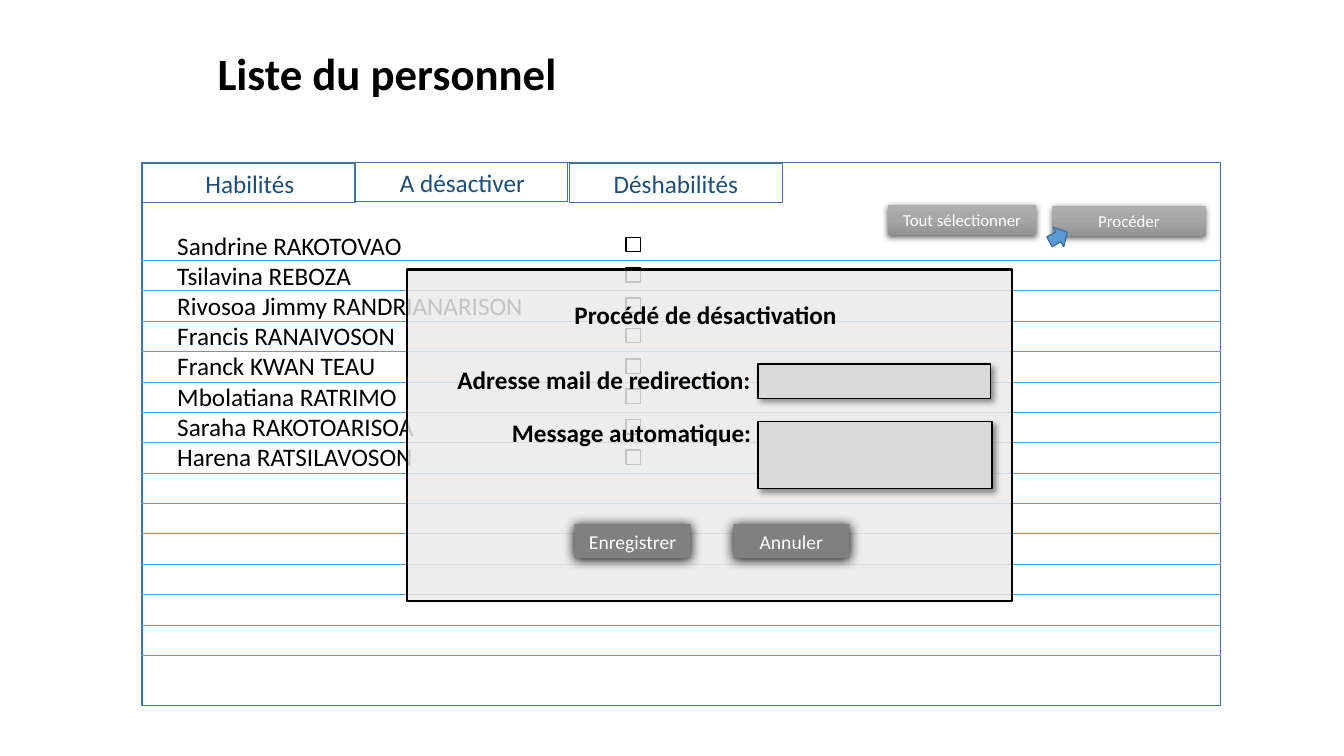
from copy import deepcopy
from dataclasses import dataclass
from typing import Optional

from lxml import etree
from pptx import Presentation
from pptx import util as u
from pptx.dml import color
from pptx.enum import shapes, text
from pptx.oxml import ns

FONT = "Calibri"
BLACK, WHITE, BLUE, EDGE, NAVY = "000000", "FFFFFF", "5B9BD5", "43739E", "1F4E79"
SILVER = ("AFAFAF", "A5A5A5", "939393")
STEP = 21.7  # height of one list row


@dataclass
class Shade:
    alpha: int
    blur: float
    dist: float
    angle: int


@dataclass
class Box:
    left: float
    top: float
    width: float
    height: float
    fill: Optional[str] = None
    line: Optional[str] = None
    weight: float = 1
    alpha: int = 100
    blend: tuple = ()
    shade: Optional[Shade] = None
    words: str = ""
    size: float = 14
    kind: shapes.MSO_SHAPE = shapes.MSO_SHAPE.RECTANGLE
    turn: float = 0


@dataclass
class Label:
    left: float
    top: float
    width: float
    height: float
    words: str
    size: float = 18
    hue: str = BLACK
    bold: bool = False
    center: bool = False


def rgb(code: str) -> color.RGBColor:
    return color.RGBColor.from_string(code)


def sub(parent, tag: str, **attrs):
    return etree.SubElement(parent, ns.qn(tag), {k: str(v) for k, v in attrs.items()})


def write(frame, words: str, size: float, hue: str, bold: bool, center: bool) -> None:
    frame.text = words
    for para in frame.paragraphs:
        para.alignment = text.PP_ALIGN.CENTER if center else text.PP_ALIGN.LEFT
        for run in para.runs:
            font = run.font
            font.name, font.size, font.bold = FONT, u.Pt(size), bold
            font.color.rgb = rgb(hue)


def blend(shape, hues: tuple) -> None:
    fill = shape.fill
    fill.gradient()
    fill.gradient_angle = 270
    stops = shape._element.spPr.find(".//" + ns.qn("a:gsLst"))
    stops.append(deepcopy(stops[0]))
    for i, stop in enumerate(fill.gradient_stops):
        stop.color.rgb = rgb(hues[i])
        stop.position = i / 2


def cast(shape, shade: Shade) -> None:
    effect = shape._element.spPr.find(ns.qn("a:effectLst"))
    outer = sub(effect, "a:outerShdw", blurRad=int(u.Pt(shade.blur)),
                dist=int(u.Pt(shade.dist)), dir=shade.angle * 60000,
                algn="ctr", rotWithShape=0)
    tint = sub(outer, "a:srgbClr", val=BLACK)
    sub(tint, "a:alpha", val=shade.alpha * 1000)


def draw(slide, box: Box) -> None:
    shape = slide.shapes.add_shape(box.kind, u.Pt(box.left), u.Pt(box.top),
                                   u.Pt(box.width), u.Pt(box.height))
    shape.rotation = box.turn
    shape.shadow.inherit = False
    if box.blend:
        blend(shape, box.blend)
    elif box.fill:
        shape.fill.solid()
        shape.fill.fore_color.rgb = rgb(box.fill)
        if box.alpha < 100:
            tint = shape._element.spPr.find(ns.qn("a:solidFill"))[0]
            sub(tint, "a:alpha", val=box.alpha * 1000)
    else:
        shape.fill.background()
    if box.line:
        shape.line.color.rgb = rgb(box.line)
        shape.line.width = u.Pt(box.weight)
    else:
        shape.line.fill.background()
    if box.shade:
        cast(shape, box.shade)
    if box.words:
        frame = shape.text_frame
        frame.word_wrap = True
        frame.vertical_anchor = text.MSO_ANCHOR.MIDDLE
        frame.margin_top = frame.margin_bottom = u.Pt(3.6)
        write(frame, box.words, box.size, WHITE, False, True)


def label(slide, item: Label) -> None:
    area = slide.shapes.add_textbox(u.Pt(item.left), u.Pt(item.top),
                                    u.Pt(item.width), u.Pt(item.height))
    area.text_frame.word_wrap = True
    write(area.text_frame, item.words, item.size, item.hue, item.bold, item.center)


def rule(slide, top: float) -> None:
    line = slide.shapes.add_connector(shapes.MSO_CONNECTOR.STRAIGHT, u.Pt(101),
                                      u.Pt(top), u.Pt(872.3), u.Pt(top))
    line.line.color.rgb = rgb(BLUE)
    line.line.width = u.Pt(0.5)
    sub(line._element.spPr, "a:effectLst")


def main() -> None:
    deck = Presentation()
    deck.slide_width, deck.slide_height = u.Pt(960), u.Pt(540)
    slide = deck.slides.add_slide(deck.slide_layouts[6])

    # Title and outer frame
    label(slide, Label(148.3, 28.8, 385, 46, "Liste du personnel", 32, bold=True))
    draw(slide, Box(101.5, 116, 770.5, 388, line=EDGE))

    # Tabs
    tabs = (("Habilités", 101.5, 116.7, 139.7), ("A désactiver", 253.5, 116, 278.6),
            ("Déshabilités", 406.8, 116.7, 431.3))
    for words, left, top, inset in tabs:
        draw(slide, Box(left, top, 152, 28, line=EDGE))
        label(slide, Label(inset, top, 134.6, 28.8, words, hue=NAVY))

    # List rows and tick boxes
    names = ("Sandrine RAKOTOVAO", "Tsilavina REBOZA", "Rivosoa Jimmy RANDRIANARISON",
             "Francis RANAIVOSON", "Franck KWAN TEAU", "Mbolatiana RATRIMO",
             "Saraha RAKOTOARISOA", "Harena RATSILAVOSON")
    for row in range(14):
        rule(slide, 186 + row * STEP)
    for row in range(len(names)):
        draw(slide, Box(447.2, 169.5 + row * STEP, 10.3, 10.3, line=BLACK))

    # Actions and pointer
    soft = Shade(63, 4.5, 1.5, 90)
    draw(slide, Box(634.3, 146.2, 106, 21.8, blend=SILVER, shade=soft,
                    words="Tout sélectionner", size=12))
    draw(slide, Box(751.7, 147, 109.5, 21.8, blend=SILVER, shade=soft,
                    words="Procéder", size=12))
    draw(slide, Box(748.8, 161.3, 14.4, 15.8, BLUE, EDGE, turn=331.3,
                    kind=shapes.MSO_SHAPE.RIGHT_ARROW))
    label(slide, Label(119.5, 160.6, 362, 182, "\n".join(names)))

    # Dialog
    draw(slide, Box(290.6, 192.5, 432, 236.5, "EAEAEA", BLACK, 1.5, alpha=84))
    label(slide, Label(373.7, 210.2, 260.6, 28.8, "Procédé de désactivation",
                       bold=True, center=True))
    label(slide, Label(319.7, 257, 245.5, 28.8, "Adresse mail de redirection:", bold=True))
    label(slide, Label(358.6, 294.5, 188.6, 28.8, "Message automatique:", bold=True))

    # Dialog fields and buttons
    drop, glow = Shade(40, 4, 3, 45), Shade(100, 8.5, 1, 90)
    for top, width, height in ((260, 166.3, 24.5), (301, 167.3, 48.2)):
        draw(slide, Box(541.4, top, width, height, "D9D9D9", BLACK, shade=drop))
    for words, left in (("Enregistrer", 410.4), ("Annuler", 523.8)):
        draw(slide, Box(left, 374.4, 83, 24.5, "808080", shade=glow, words=words))

    deck.save("out.pptx")


if __name__ == "__main__":
    main()
